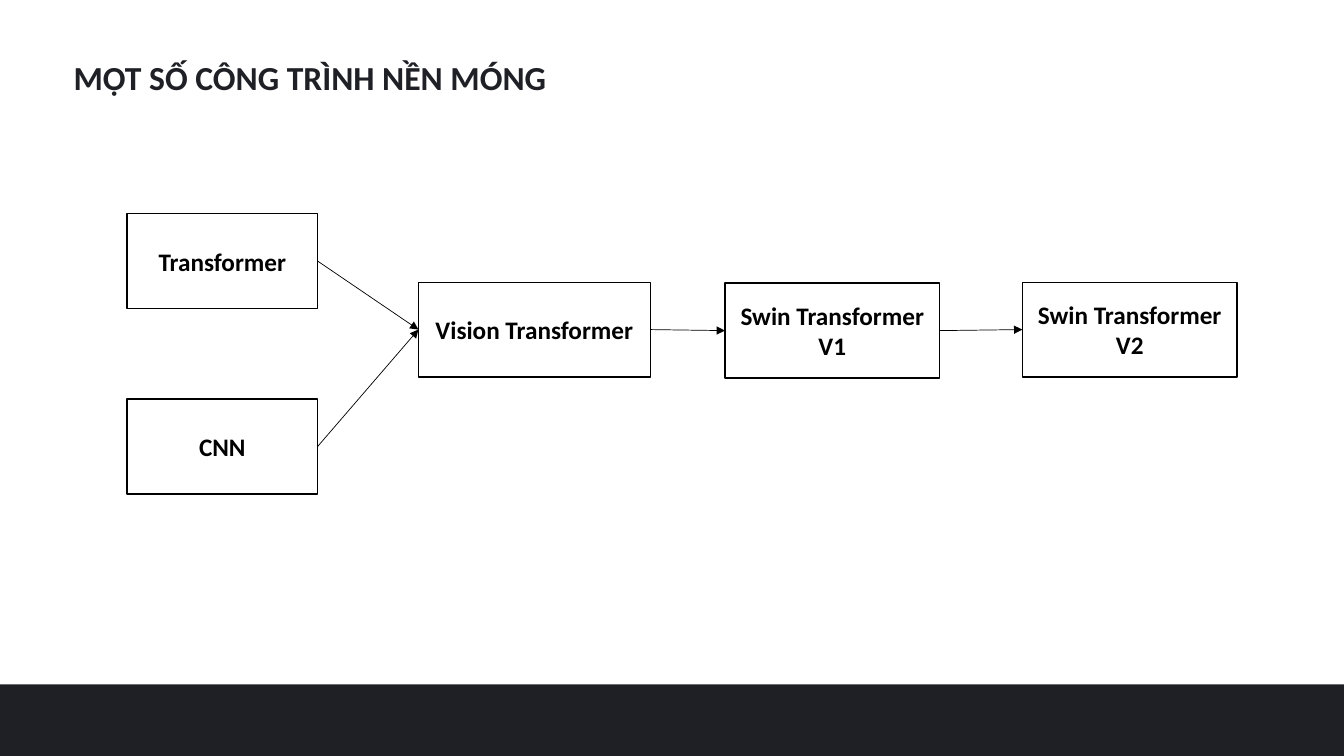
from pptx import Presentation
from pptx.dml.color import RGBColor
from pptx.enum.shapes import MSO_CONNECTOR as Link, MSO_SHAPE as Preset
from pptx.enum.text import MSO_ANCHOR as Anchor, PP_ALIGN as Align
from pptx.oxml.ns import qn
from pptx.util import Inches, Pt
from lxml.etree import SubElement

COLORS = {"ink": "1F2025", "black": "000000", "white": "FFFFFF"}
LEFT, RIGHT = 1, 3


def color(name):
    return RGBColor.from_string(COLORS[name])


def write(frame, text, size=18, ink="black", align=Align.CENTER, anchor=Anchor.MIDDLE):
    frame.word_wrap = True
    frame.vertical_anchor = anchor
    paragraph = frame.paragraphs[0]
    paragraph.alignment = align
    run = paragraph.add_run()
    run.text = text
    run.font.name = "Calibri"
    run.font.size = Pt(size)
    run.font.bold = True
    run.font.color.rgb = color(ink)


class DiagramSlide:
    box_height = 0.94
    box_line = 1
    arrow_line = 0.5

    def __init__(self, deck):
        self.slide = deck.slides.add_slide(deck.slide_layouts[5])
        self.shapes = self.slide.shapes

    def title(self, text, left, top, width, height):
        heading = self.shapes.title
        heading.left, heading.top = Inches(left), Inches(top)
        heading.width, heading.height = Inches(width), Inches(height)
        write(heading.text_frame, text, size=24, ink="ink", align=Align.LEFT, anchor=Anchor.TOP)

    def rectangle(self, left, top, width, height, fill):
        area = self.shapes.add_shape(
            Preset.RECTANGLE, Inches(left), Inches(top), Inches(width), Inches(height))
        area.shadow.inherit = False
        area.fill.solid()
        area.fill.fore_color.rgb = color(fill)
        area.line.fill.background()
        return area

    def box(self, text, left, top, width):
        model = self.rectangle(left, top, width, self.box_height, "white")
        model.line.color.rgb = color("black")
        model.line.width = Pt(self.box_line)
        write(model.text_frame, text)
        return model

    def arrow(self, source, target):
        link = self.shapes.add_connector(Link.STRAIGHT, 0, 0, 0, 0)
        link.begin_connect(source, RIGHT)
        link.end_connect(target, LEFT)
        link.line.color.rgb = color("black")
        link.line.width = Pt(self.arrow_line)
        SubElement(link.line._get_or_add_ln(), qn("a:tailEnd"), type="triangle")
        SubElement(link._element.spPr, qn("a:effectLst"))


def main():
    deck = Presentation()
    deck.slide_width, deck.slide_height = Inches(13.33), Inches(7.5)
    page = DiagramSlide(deck)

    page.title("MỘT SỐ CÔNG TRÌNH NỀN MÓNG", 0.63, 0.51, 5.82, 0.5)
    page.rectangle(0, 6.79, 13.33, 0.71, "ink")

    transformer = page.box("Transformer", 1.26, 2.12, 1.89)
    cnn = page.box("CNN", 1.26, 3.96, 1.89)
    vision = page.box("Vision Transformer", 4.15, 2.8, 2.3)
    swin_v1 = page.box("Swin Transformer V1", 7.19, 2.81, 2.13)
    swin_v2 = page.box("Swin Transformer V2", 10.14, 2.8, 2.13)

    for source, target in [(transformer, vision), (cnn, vision),
                           (vision, swin_v1), (swin_v1, swin_v2)]:
        page.arrow(source, target)

    deck.save("out.pptx")


if __name__ == "__main__":
    main()
